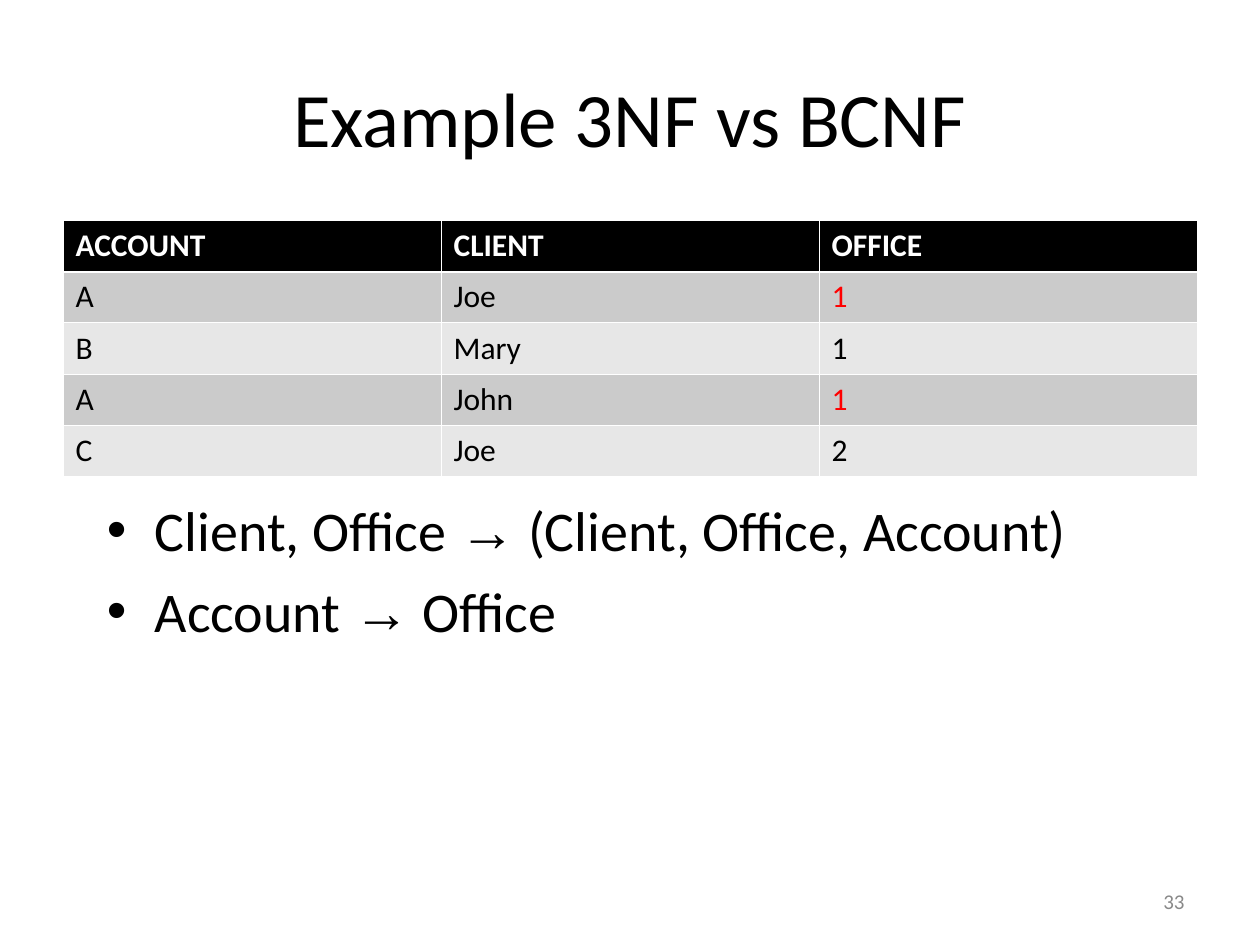
from dataclasses import dataclass

from lxml.etree import SubElement
from pptx import Presentation
from pptx.dml.color import RGBColor
from pptx.enum.text import MSO_ANCHOR as Anchor, PP_ALIGN as Align
from pptx.oxml.ns import qn
from pptx.util import Inches, Pt

BLACK, WHITE, RED, GRAY = "000000", "FFFFFF", "FF0000", "898989"
BANDS = ("CBCBCB", "E7E7E7")
THIN, THICK = 0.45, 1.47


@dataclass
class Row:
    account: str
    client: str
    office: str
    marked: bool = False


@dataclass
class Rule:
    left: str
    right: str


ROWS = [
    Row("ACCOUNT", "CLIENT", "OFFICE"),
    Row("A", "Joe", "1", marked=True),
    Row("B", "Mary", "1"),
    Row("A", "John", "1", marked=True),
    Row("C", "Joe", "2"),
]
RULES = [
    Rule("Client, Office", "(Client, Office, Account)"),
    Rule("Account", "Office"),
]


def style(font, size: float, color: str, name: str = "Calibri", bold: bool = False) -> None:
    font.name, font.size, font.bold = name, Pt(size), bold
    font.color.rgb = RGBColor.from_string(color)


def add_box(slide, left: float, top: float, width: float, height: float):
    box = slide.shapes.add_textbox(*map(Inches, (left, top, width, height)))
    box.text_frame.word_wrap = True
    return box.text_frame


def draw_edges(cell, top: float, bottom: float) -> None:
    props = cell._tc.get_or_add_tcPr()
    for side, width in (("L", THIN), ("R", THIN), ("T", top), ("B", bottom)):
        line = SubElement(props, qn(f"a:ln{side}"), w=str(Pt(width)))
        fill = SubElement(line, qn("a:solidFill"))
        SubElement(fill, qn("a:srgbClr"), val=WHITE)


def draw_table(slide, rows: list[Row]) -> None:
    frame = slide.shapes.add_table(
        len(rows), 3, Inches(0.5), Inches(1.75), Inches(9), Inches(2.03))
    table = frame.table
    for r, row in enumerate(rows):
        head = r == 0
        table.rows[r].height = Inches(2.03 / len(rows))
        for c, text in enumerate((row.account, row.client, row.office)):
            cell = table.cell(r, c)
            cell.text = text
            draw_edges(cell, THICK if r == 1 else THIN, THICK if head else THIN)
            cell.fill.solid()
            shade = BLACK if head else BANDS[(r - 1) % 2]
            cell.fill.fore_color.rgb = RGBColor.from_string(shade)
            color = WHITE if head else RED if row.marked and c == 2 else BLACK
            run = cell.text_frame.paragraphs[0].runs[0]
            style(run.font, 18, color, bold=head)


def set_bullet(para) -> None:
    props = para._p.get_or_add_pPr()
    props.set("marL", str(Inches(0.38)))
    props.set("indent", str(Inches(-0.38)))
    color = SubElement(props, qn("a:buClr"))
    SubElement(color, qn("a:srgbClr"), val=BLACK)
    SubElement(props, qn("a:buFont"), typeface="Arial")
    SubElement(props, qn("a:buChar"), char="•")


def draw_rules(slide, rules: list[Rule]) -> None:
    frame = add_box(slide, 0.75, 3.88, 8.86, 2.28)
    for i, rule in enumerate(rules):
        para = frame.add_paragraph() if i else frame.paragraphs[0]
        set_bullet(para)
        if i:
            para.space_before = Pt(8)
        parts = ((f"{rule.left} ", "Calibri"), ("→", "Arial"), (f" {rule.right}", "Calibri"))
        for text, name in parts:
            run = para.add_run()
            run.text = text
            style(run.font, 32, BLACK, name)


def main() -> None:
    deck = Presentation()
    deck.slide_width, deck.slide_height = Inches(10), Inches(7.5)
    slide = deck.slides.add_slide(deck.slide_layouts[5])

    # Title
    title = slide.shapes.title
    title.left, title.top = Inches(0.5), Inches(0.3)
    title.width, title.height = Inches(9), Inches(1.25)
    title.text_frame.text = "Example 3NF vs BCNF"
    title.text_frame.vertical_anchor = Anchor.MIDDLE
    para = title.text_frame.paragraphs[0]
    para.alignment = Align.CENTER
    style(para.runs[0].font, 44, BLACK)

    # Dependencies and sample data
    draw_rules(slide, RULES)
    draw_table(slide, ROWS)

    # Page number
    frame = add_box(slide, 7.17, 6.95, 2.33, 0.4)
    frame.text = "33"
    frame.vertical_anchor = Anchor.MIDDLE
    para = frame.paragraphs[0]
    para.alignment = Align.RIGHT
    style(para.runs[0].font, 12, GRAY)

    deck.save("out.pptx")


if __name__ == "__main__":
    main()
